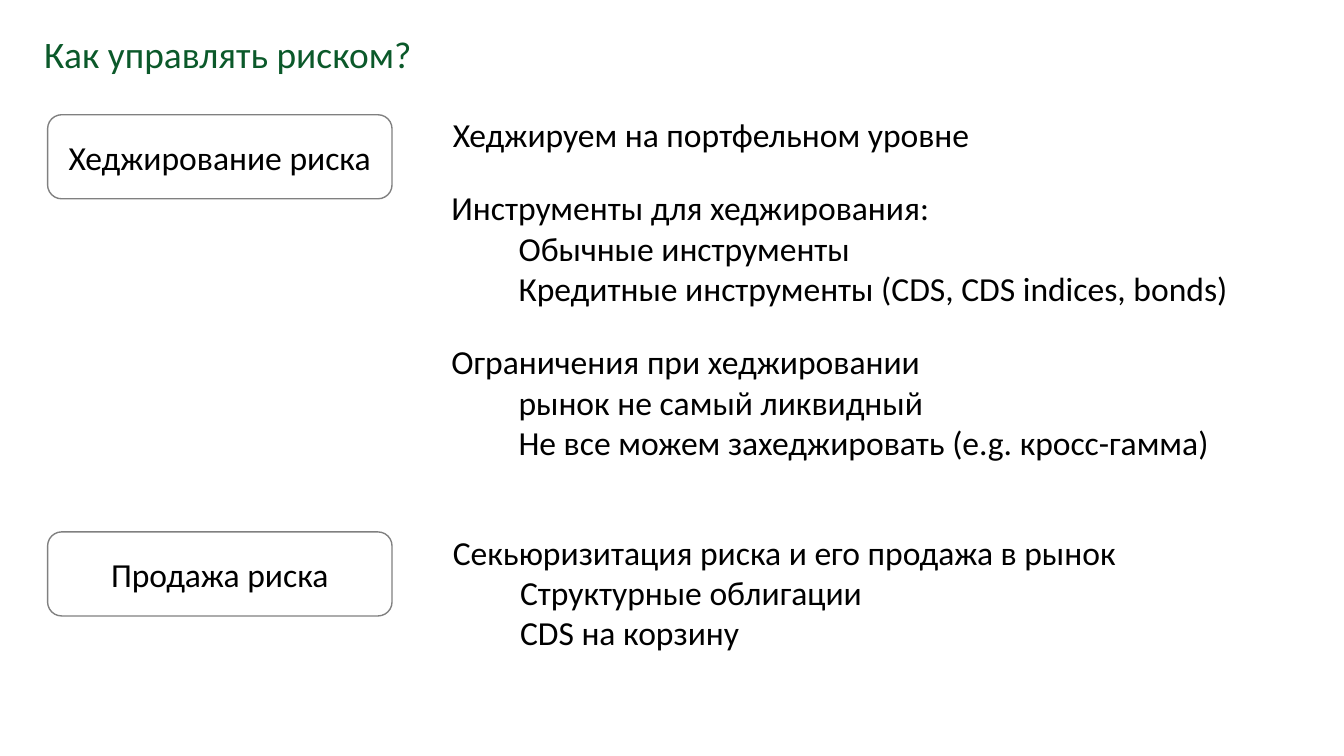
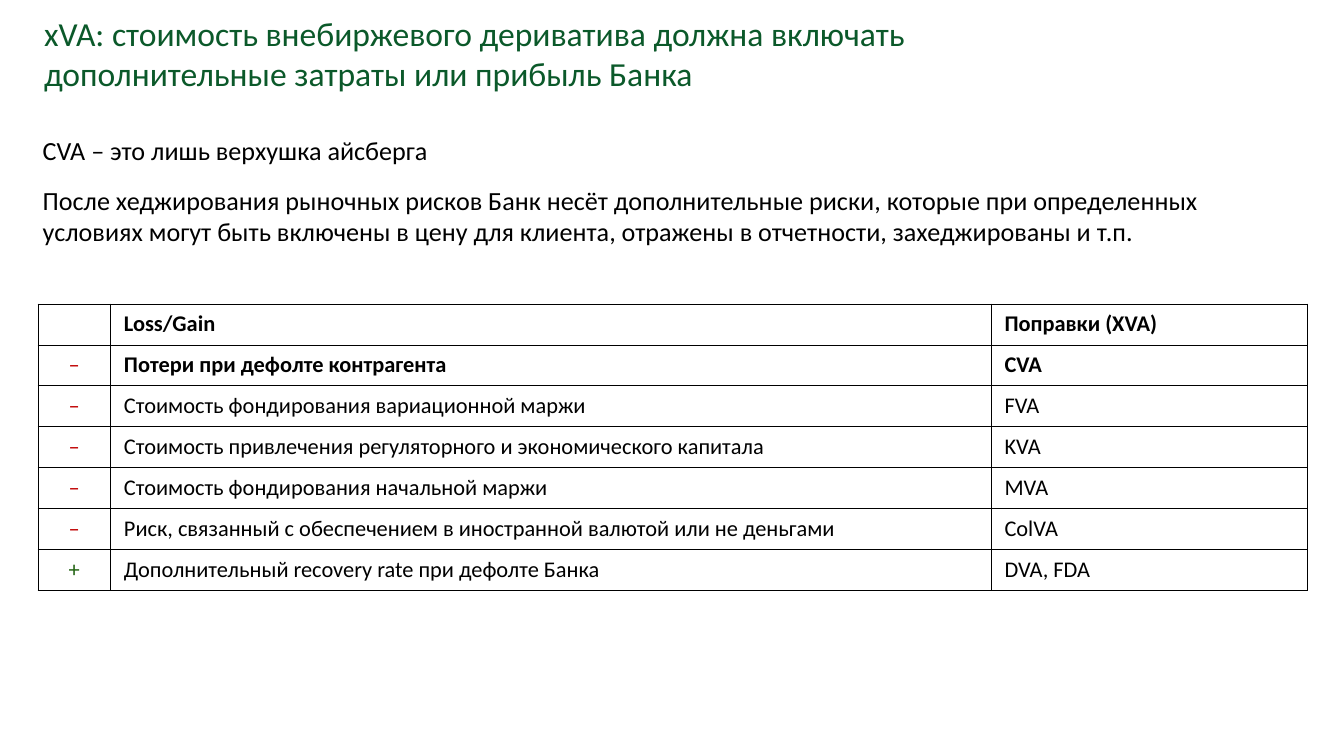
import dataclasses
import lxml.etree
import pptx
import pptx.dml.color
import pptx.enum.shapes
import pptx.enum.text
import pptx.oxml.ns
import pptx.util


@dataclasses.dataclass(frozen=True)
class Theme:
    font: str = "Calibri"
    title: str = "0B592A"
    ink: str = "000000"
    outline: str = "808080"
    loss: str = "C00000"
    gain: str = "216311"
    heading: int = 20
    body: int = 18
    note: int = 14
    cell: int = 12


theme = Theme()
PX = 9525
ALIGN = pptx.enum.text.PP_ALIGN
MIDDLE = pptx.enum.text.MSO_ANCHOR.MIDDLE


def write(frame, text, size, color=theme.ink, bold=False, align=ALIGN.LEFT):
    frame.text = text
    for para in frame.paragraphs:
        para.alignment = align
        for span in para.runs:
            span.font.name = theme.font
            span.font.size = pptx.util.Pt(size)
            span.font.bold = bold
            span.font.color.rgb = pptx.dml.color.RGBColor.from_string(color)


def add_text(page, area, text, size, color=theme.ink, wrap=True):
    box = page.shapes.add_textbox(*[side * PX for side in area])
    box.text_frame.word_wrap = wrap
    write(box.text_frame, text, size, color)
    return box


deck = pptx.Presentation()
deck.slide_width = 960 * PX
deck.slide_height = 540 * PX

titles = [
    ("Как управлять риском?", theme.heading),
    ("xVA: cтоимость внебиржевого дериватива должна включать "
     "дополнительные затраты или прибыль Банка", theme.body),
]
pages = []
for text, size in titles:
    page = deck.slides.add_slide(deck.slide_layouts[6])
    title = add_text(page, (22, 8, 688, 60), text, size, theme.title)
    title.text_frame.vertical_anchor = MIDDLE
    pages.append(page)
risk_page, xva_page = pages

topics = [
    ((313, 129, 635, 97), ["Инструменты для хеджирования:", "Обычные инструменты",
                           "Кредитные инструменты (CDS, CDS indices, bonds)"]),
    ((313, 239, 606, 97), ["Ограничения при хеджировании", "рынок не самый ликвидный",
                           "Не все можем захеджировать (e.g. кросс-гамма)"]),
    ((314, 77, 393, 38), ["Хеджируем на портфельном уровне"]),
    ((314, 375, 521, 97), ["Секьюризитация риска и его продажа в рынок", "Структурные облигации",
                           "CDS на корзину"]),
]
for area, lines in topics:
    box = add_text(risk_page, area, "\n".join(lines), theme.body, wrap=len(lines) > 1)
    for para in box.text_frame.paragraphs[1:]:
        para.level = 1
        indent = para._p.get_or_add_pPr()
        indent.set("marL", str(48 * PX))
        indent.set("indent", "0")

for top, label in [(82, "Хеджирование риска"), (380, "Продажа риска")]:
    box = risk_page.shapes.add_shape(pptx.enum.shapes.MSO_SHAPE.ROUNDED_RECTANGLE,
                                     34 * PX, top * PX, 246 * PX, 60 * PX)
    box.shadow.inherit = False
    box.fill.background()
    box.line.color.rgb = pptx.dml.color.RGBColor.from_string(theme.outline)
    box.line.width = pptx.util.Pt(0.75)
    box.text_frame.vertical_anchor = MIDDLE
    write(box.text_frame, label, theme.body, align=ALIGN.CENTER)

add_text(xva_page, (21, 127, 898, 55),
         "После хеджирования рыночных рисков Банк несёт дополнительные риски, которые при "
         "определенных условиях могут быть включены в цену для клиента, отражены в отчетности, "
         "захеджированы и т.п.", theme.note)

adjustments = [
    ("", "Loss/Gain", "Поправки (XVA)"),
    ("–", "Потери при дефолте контрагента", "CVA"),
    ("–", "Стоимость фондирования вариационной маржи", "FVA"),
    ("–", "Стоимость привлечения регуляторного и экономического капитала", "KVA"),
    ("–", "Стоимость фондирования начальной маржи", "MVA"),
    ("–", "Риск, связанный с обеспечением в иностранной валютой или не деньгами", "ColVA"),
    ("+", "Дополнительный recovery rate при дефолте Банка", "DVA, FDA"),
]
sign_colors = {"": theme.ink, "–": theme.loss, "+": theme.gain}
widths = [52, 629, 226]
table = xva_page.shapes.add_table(len(adjustments), len(widths), 27 * PX, 217 * PX,
                                  sum(widths) * PX, 205 * PX).table
table.first_row = False
table.horz_banding = False
for column, width in zip(table.columns, widths):
    column.width = width * PX

qn = pptx.oxml.ns.qn
for row, values in enumerate(adjustments):
    for col, value in enumerate(values):
        cell = table.cell(row, col)
        cell.fill.background()
        cell.vertical_anchor = MIDDLE
        if col == 0:
            write(cell.text_frame, value, theme.cell, sign_colors[value], align=ALIGN.CENTER)
        else:
            write(cell.text_frame, value, theme.cell, bold=row < 2)
        if not value:
            end = lxml.etree.SubElement(cell.text_frame.paragraphs[0]._p, qn("a:endParaRPr"))
            end.set("sz", str(theme.cell * 100))
        borders = cell._tc.get_or_add_tcPr()
        for place, side in enumerate(("a:lnL", "a:lnR", "a:lnT", "a:lnB")):
            line = lxml.etree.Element(qn(side), w=str(pptx.util.Pt(0.25)))
            fill = lxml.etree.SubElement(line, qn("a:solidFill"))
            lxml.etree.SubElement(fill, qn("a:srgbClr"), val=theme.ink)
            borders.insert(place, line)

add_text(xva_page, (21, 91, 298, 33), "CVA – это лишь верхушка айсберга", theme.note, wrap=False)

deck.save("out.pptx")
